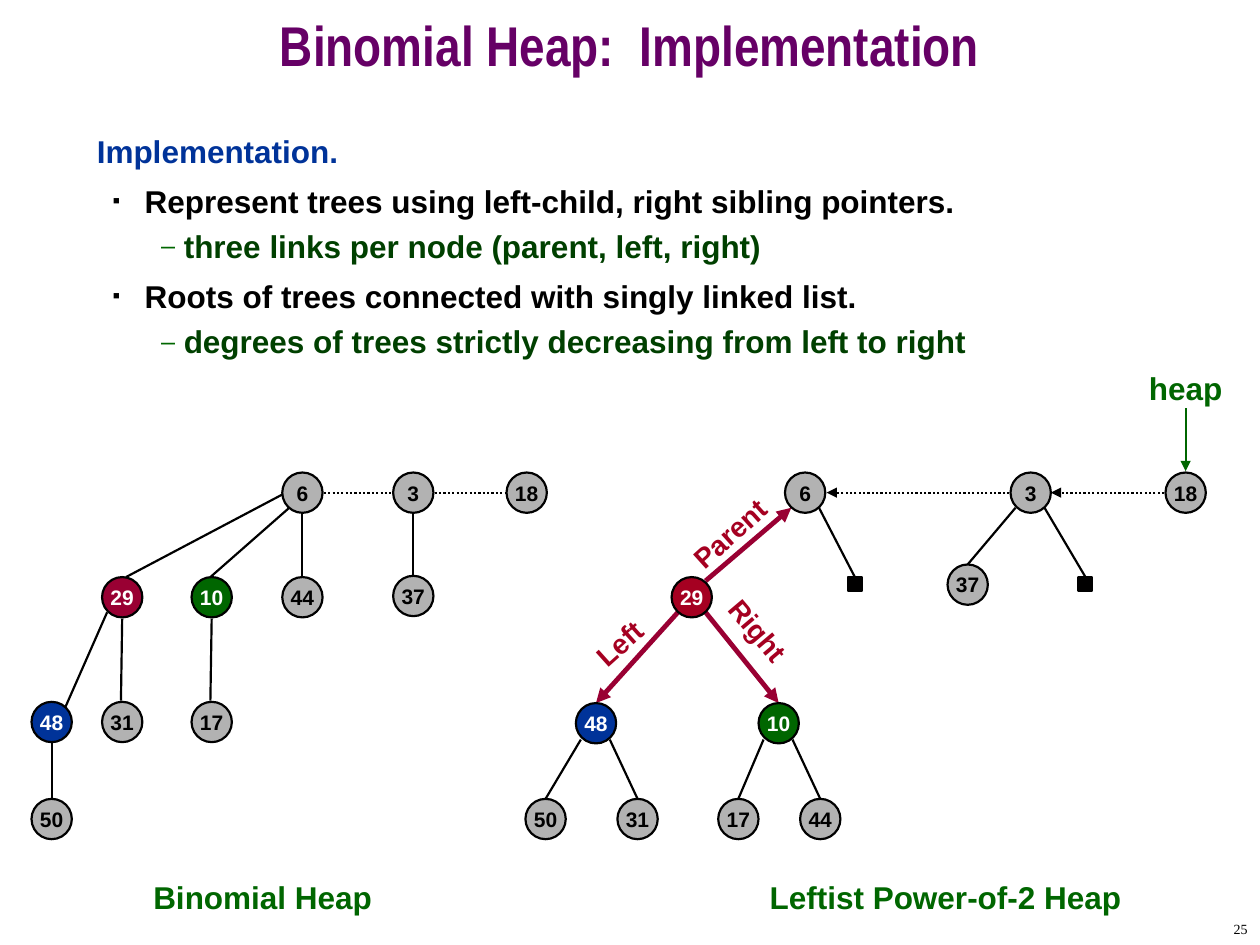
from lxml import etree
from pptx import Presentation
from pptx.dml.color import RGBColor
from pptx.enum.dml import MSO_LINE
from pptx.enum.shapes import MSO_CONNECTOR, MSO_SHAPE
from pptx.enum.text import MSO_ANCHOR, MSO_AUTO_SIZE, PP_ALIGN
from pptx.oxml.ns import qn
from pptx.util import Inches, Pt

COLORS = {
    "purple": "660066", "blue": "003399", "green": "006600", "dark_green": "004000",
    "red": "A50021", "crimson": "990033", "gray": "B2B2B2", "black": "000000",
    "square": "010000", "white": "FFFFFF",
}


def write_text(paragraph, text, size=18, color="green", font="Arial", bold=True,
               align=PP_ALIGN.CENTER):
    paragraph.alignment = align
    run = paragraph.add_run()
    run.text = text
    run.font.size = Pt(size)
    run.font.name = font
    run.font.bold = bold
    run.font.color.rgb = RGBColor.from_string(COLORS[color])


def add_line(start, end, color="black", width=1.25, dotted=False, arrow=False):
    points = [Inches(value) for value in (*start, *end)]
    connector = slide.shapes.add_connector(MSO_CONNECTOR.STRAIGHT, *points)
    connector.line.color.rgb = RGBColor.from_string(COLORS[color])
    connector.line.width = Pt(width)
    if dotted:
        connector.line.dash_style = MSO_LINE.ROUND_DOT
    properties = connector._element.spPr
    if arrow:
        etree.SubElement(properties.find(qn("a:ln")), qn("a:tailEnd"), type="triangle")
    etree.SubElement(properties, qn("a:effectLst"))
    return connector


presentation = Presentation()
presentation.slide_width = Inches(10)
presentation.slide_height = Inches(7.5)
slide = presentation.slides.add_slide(presentation.slide_layouts[5])

title = slide.shapes.title
title.left, title.top, title.width, title.height = 0, 0, Inches(10), Inches(0.83)
title.text_frame.auto_size = MSO_AUTO_SIZE.NONE
title.text_frame.vertical_anchor = MSO_ANCHOR.MIDDLE
title.text_frame.paragraphs[0].line_spacing = 0.7
write_text(title.text_frame.paragraphs[0], "Binomial Heap:  Implementation",
           size=32, color="purple", font="Arial Narrow")

body = slide.shapes.add_textbox(Inches(0.67), Inches(1), Inches(8.58), Inches(5.92))
body.text_frame.word_wrap = True
write_text(body.text_frame.paragraphs[0], "Implementation.", color="blue", align=PP_ALIGN.LEFT)

bullet_styles = {
    1: ("■", "black", 35, 0.38, -0.25, 1.1, "black"),
    2: ("–", "green", 80, 0.69, -0.18, 1.0, "dark_green"),
}
bullets = [
    (1, "Represent trees using left-child, right sibling pointers."),
    (2, "three links per node (parent, left, right)"),
    (1, "Roots of trees connected with singly linked list."),
    (2, "degrees of trees strictly decreasing from left to right"),
]
for level, text in bullets:
    mark, mark_color, percent, margin, indent, spacing, text_color = bullet_styles[level]
    paragraph = body.text_frame.add_paragraph()
    paragraph.level = level
    paragraph.line_spacing = spacing
    paragraph.space_before = Pt(4.5)
    properties = paragraph._p.get_or_add_pPr()
    properties.set("marL", str(Inches(margin)))
    properties.set("indent", str(Inches(indent)))
    bullet_color = etree.SubElement(properties, qn("a:buClr"))
    etree.SubElement(bullet_color, qn("a:srgbClr"), val=COLORS[mark_color])
    etree.SubElement(properties, qn("a:buSzPct"), val=str(percent * 1000))
    etree.SubElement(properties, qn("a:buFont"), typeface="Arial")
    etree.SubElement(properties, qn("a:buChar"), char=mark)
    write_text(paragraph, text, color=text_color, align=PP_ALIGN.LEFT)

tree_edges = [
    ((0.41, 6.34), (0.41, 5.9)), ((0.96, 5.56), (0.97, 4.91)),
    ((0.52, 5.61), (0.85, 4.86)), ((1.67, 5.56), (1.68, 4.91)),
    ((2.4, 4.57), (2.4, 4.08)), ((1, 4.58), (2.25, 3.92)),
    ((1.67, 4.58), (2.33, 4)), ((3.28, 4.56), (3.28, 4.08)),
    ((7.68, 4.48), (8.06, 4.03)),
    ((4.61, 5.87), (4.33, 6.34)), ((4.84, 5.87), (5.06, 6.34)),
    ((6.06, 5.87), (5.86, 6.34)), ((6.29, 5.87), (6.51, 6.34)),
]
for start, end in tree_edges:
    add_line(start, end)

for start_x, end_x in [(2.57, 3.11), (3.45, 4.01)]:
    add_line((start_x, 3.91), (end_x, 3.91), dotted=True)
for start_x, end_x in [(8.01, 6.56), (9.24, 8.34)]:
    add_line((start_x, 3.91), (end_x, 3.91), dotted=True, arrow=True)

pointers = [
    ((5.6, 4.86), (6.18, 5.58)), ((5.38, 4.86), (4.73, 5.58)), ((5.6, 4.61), (6.28, 4.03)),
]
for start, end in pointers:
    add_line(start, end, color="crimson", width=2.75, arrow=True)
add_line((9.41, 3.24), (9.41, 3.74), color="green", arrow=True)

for left, parent_x in [(6.73, 6.5), (8.56, 8.29)]:
    square = slide.shapes.add_shape(
        MSO_SHAPE.RECTANGLE, Inches(left), Inches(4.58), Inches(0.11), Inches(0.11))
    square.shadow.inherit = False
    square.fill.solid()
    square.fill.fore_color.rgb = RGBColor.from_string(COLORS["square"])
    square.line.color.rgb = RGBColor.from_string(COLORS["black"])
    square.line.width = Pt(1.25)
    edge = add_line((left + 0.06, 4.58), (parent_x, 4.03))
    edge.begin_connect(square, 0)

nodes = [
    ("6", 2.24, 3.75, "gray"), ("3", 3.12, 3.75, "gray"), ("18", 4.02, 3.75, "gray"),
    ("29", 0.81, 4.58, "crimson"), ("10", 1.52, 4.58, "green"),
    ("44", 2.24, 4.58, "gray"), ("37", 3.12, 4.57, "gray"),
    ("48", 0.25, 5.57, "blue"), ("31", 0.81, 5.57, "gray"), ("17", 1.52, 5.57, "gray"),
    ("50", 0.25, 6.34, "gray"),
    ("6", 6.23, 3.75, "gray"), ("3", 8.02, 3.75, "gray"), ("18", 9.25, 3.75, "gray"),
    ("29", 5.33, 4.58, "red"), ("37", 7.52, 4.48, "gray"),
    ("48", 4.57, 5.58, "blue"), ("10", 6.02, 5.58, "green"),
    ("50", 4.17, 6.34, "gray"), ("31", 4.9, 6.34, "gray"),
    ("17", 5.7, 6.34, "gray"), ("44", 6.35, 6.34, "gray"),
    ("heap", 9.25, 2.92, None),
]
for text, left, top, fill in nodes:
    node = slide.shapes.add_shape(
        MSO_SHAPE.OVAL, Inches(left), Inches(top), Inches(0.32), Inches(0.32))
    node.shadow.inherit = False
    node.text_frame.word_wrap = False
    node.text_frame.vertical_anchor = MSO_ANCHOR.MIDDLE
    paragraph = node.text_frame.paragraphs[0]
    if fill is None:
        node.fill.background()
        node.line.fill.background()
        write_text(paragraph, text)
    else:
        node.fill.solid()
        node.fill.fore_color.rgb = RGBColor.from_string(COLORS[fill])
        node.line.color.rgb = RGBColor.from_string(COLORS["black"])
        node.line.width = Pt(1.25)
        write_text(paragraph, text, size=12, color="black" if fill == "gray" else "white")

labels = [
    ("Leftist Power-of-2 Heap", 5.67, 6.92, 3.67, 0.4, 0, 18, "green"),
    ("Binomial Heap", 0.75, 6.92, 2.67, 0.4, 0, 18, "green"),
    ("Parent", 5.25, 4.05, 1.08, 0.37, 318, 16, "red"),
    ("Left", 4.58, 4.92, 0.67, 0.37, 318, 16, "red"),
    ("Right", 5.6, 4.82, 0.83, 0.37, 49.9, 16, "red"),
]
for text, left, top, width, height, rotation, size, color in labels:
    label = slide.shapes.add_textbox(Inches(left), Inches(top), Inches(width), Inches(height))
    label.rotation = rotation
    label.text_frame.word_wrap = True
    label.text_frame.auto_size = MSO_AUTO_SIZE.SHAPE_TO_FIT_TEXT
    write_text(label.text_frame.paragraphs[0], text, size=size, color=color)

page_number = slide.shapes.add_textbox(Inches(7.92), Inches(7.25), Inches(2.08), Inches(0.25))
page_number.text_frame.word_wrap = True
page_number.text_frame.vertical_anchor = MSO_ANCHOR.MIDDLE
write_text(page_number.text_frame.paragraphs[0], "25", size=8, color="black",
           font="Times New Roman", bold=False, align=PP_ALIGN.RIGHT)

presentation.save("out.pptx")
